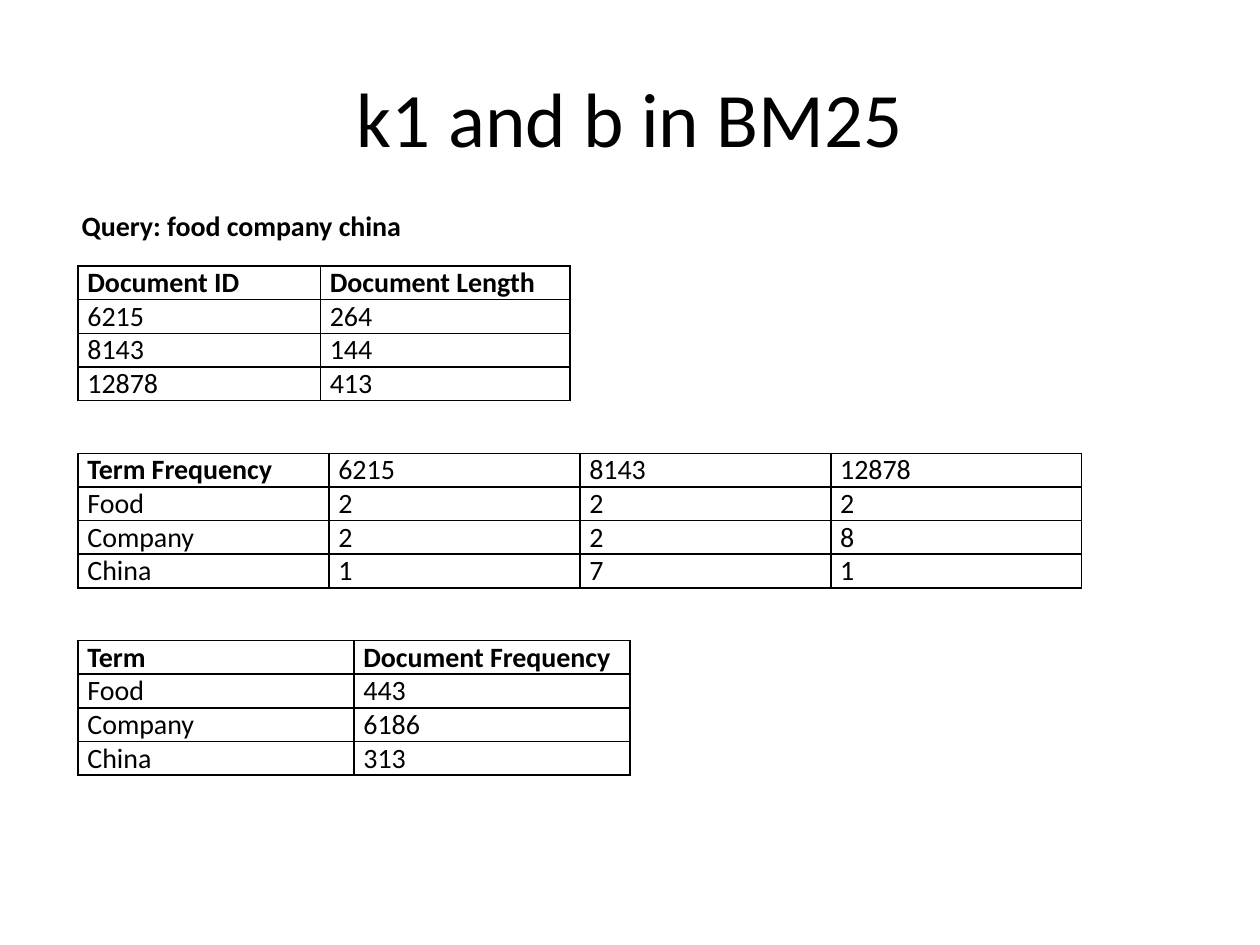
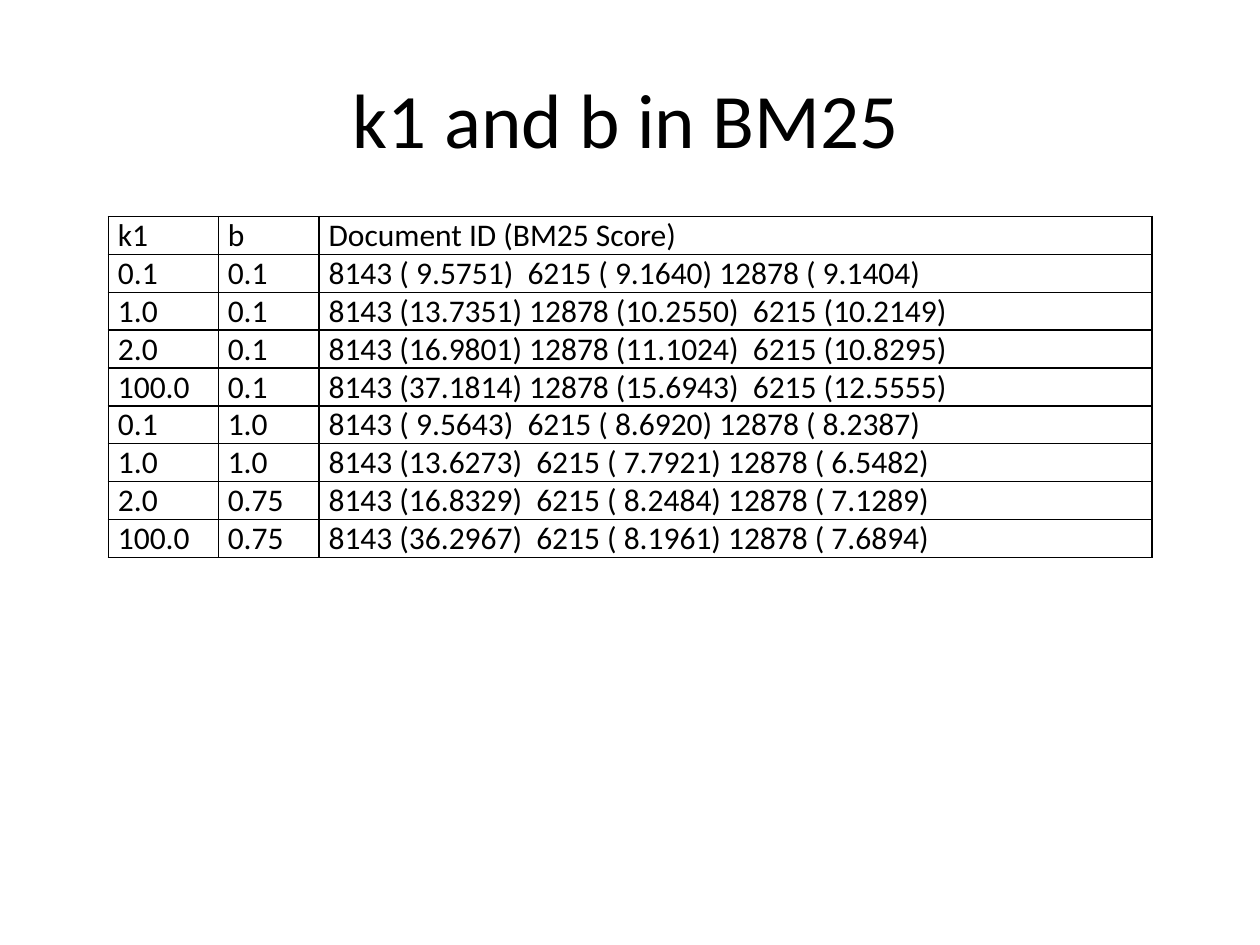
from lxml import etree
from pptx import Presentation
from pptx.dml.color import RGBColor
from pptx.enum import text as t
from pptx.oxml import ns
from pptx.util import Pt

BLACK = RGBColor(0x00, 0x00, 0x00)
FONT = "Calibri"
TITLE = "k1 and b in BM25"

TERM_TABLES_LEFT, TERM_TABLES_TOP, TERM_TABLES_STEP = 44.6, 152, 107
DOCUMENTS = ["6215", "8143", "12878"]
LENGTHS = ["264", "144", "413"]
TERMS = ["Food", "Company", "China"]
DOCUMENT_FREQUENCIES = ["443", "6186", "313"]
TERM_COUNTS = [["2", "2", "2"], ["2", "2", "8"], ["1", "7", "1"]]

SCORES = [
    ["k1", "b", "Document ID (BM25 Score)"],
    ["0.1", "0.1", "8143 ( 9.5751)  6215 ( 9.1640) 12878 ( 9.1404)"],
    ["1.0", "0.1", "8143 (13.7351) 12878 (10.2550)  6215 (10.2149)"],
    ["2.0", "0.1", "8143 (16.9801) 12878 (11.1024)  6215 (10.8295)"],
    ["100.0", "0.1", "8143 (37.1814) 12878 (15.6943)  6215 (12.5555)"],
    ["0.1", "1.0", "8143 ( 9.5643)  6215 ( 8.6920) 12878 ( 8.2387)"],
    ["1.0", "1.0", "8143 (13.6273)  6215 ( 7.7921) 12878 ( 6.5482)"],
    ["2.0", "0.75", "8143 (16.8329)  6215 ( 8.2484) 12878 ( 7.1289)"],
    ["100.0", "0.75", "8143 (36.2967)  6215 ( 8.1961) 12878 ( 7.6894)"],
]


def write(frame, wording, size=16, bold=False, align=t.PP_ALIGN.LEFT):
    """Put one formatted line of text into a text frame."""
    para = frame.paragraphs[0]
    para.alignment = align
    span = para.add_run()
    span.text = wording
    span.font.name = FONT
    span.font.size = Pt(size)
    span.font.bold = bold
    span.font.color.rgb = BLACK


def outline(cell):
    """Draw a thin black border on all four sides of a cell."""
    properties = cell._tc.get_or_add_tcPr()
    for side in ("a:lnL", "a:lnR", "a:lnT", "a:lnB"):
        line = etree.SubElement(properties, ns.qn(side), w=str(Pt(1)))
        fill = etree.SubElement(line, ns.qn("a:solidFill"))
        etree.SubElement(fill, ns.qn("a:srgbClr"), val=str(BLACK))


class Slides:
    """Holds the deck's style and its current page."""

    def __init__(self):
        """Start a 4:3 deck."""
        self.deck = Presentation()
        self.deck.slide_width, self.deck.slide_height = Pt(720), Pt(540)
        self.page = None

    def new_page(self, left, top):
        """Add a blank page with the shared title."""
        self.page = self.deck.slides.add_slide(self.deck.slide_layouts[6])
        self.label(TITLE, left, top, 648, 90, size=44, align=t.PP_ALIGN.CENTER)

    def label(self, wording, left, top, width, height, **style):
        """Add a wrapped, vertically centred text box."""
        box = self.page.shapes.add_textbox(Pt(left), Pt(top), Pt(width), Pt(height))
        box.text_frame.word_wrap = True
        box.text_frame.vertical_anchor = t.MSO_ANCHOR.MIDDLE
        write(box.text_frame, wording, **style)

    def table(self, rows, left, top, widths, row_height, size=16, bold_heads=0):
        """Add a ruled table whose first bold_heads header cells are bold."""
        table = self.page.shapes.add_table(
            len(rows), len(widths), Pt(left), Pt(top),
            Pt(sum(widths)), Pt(row_height * len(rows))).table
        table.first_row = table.horz_banding = False
        for column, width in zip(table.columns, widths):
            column.width = Pt(width)
        for r, row in enumerate(rows):
            table.rows[r].height = Pt(row_height)
            for c, wording in enumerate(row):
                cell = table.cell(r, c)
                cell.margin_left = cell.margin_right = Pt(5.4)
                cell.margin_top = cell.margin_bottom = 0
                outline(cell)
                cell.fill.background()
                write(cell.text_frame, wording, size=size,
                      bold=r == 0 and c < bold_heads, align=t.PP_ALIGN.JUSTIFY)


def main():
    """Build both pages and save the deck."""
    slides = Slides()

    slides.new_page(36, 21.6)
    slides.label("Query: food company china", 39.6, 115.2, 286.6, 26.6, bold=True)
    lengths = [["Document ID", "Document Length"], *zip(DOCUMENTS, LENGTHS)]
    counts = [["Term Frequency", *DOCUMENTS]]
    counts += [[term, *values] for term, values in zip(TERMS, TERM_COUNTS)]
    frequencies = [["Term", "Document Frequency"], *zip(TERMS, DOCUMENT_FREQUENCIES)]
    term_tables = [
        (lengths, [138.5, 142.8], 2),
        (counts, [143.4] * 4, 1),
        (frequencies, [157.7] * 2, 2),
    ]
    for i, (rows, widths, bold_heads) in enumerate(term_tables):
        slides.table(rows, TERM_TABLES_LEFT, TERM_TABLES_TOP + i * TERM_TABLES_STEP,
                     widths, 19.2, bold_heads=bold_heads)

    slides.new_page(33.8, 22.3)
    slides.table(SCORES, 62, 123.8, [62.8, 57.6, 475.8], 21.6, size=18)

    slides.deck.save("out.pptx")


if __name__ == "__main__":
    main()
